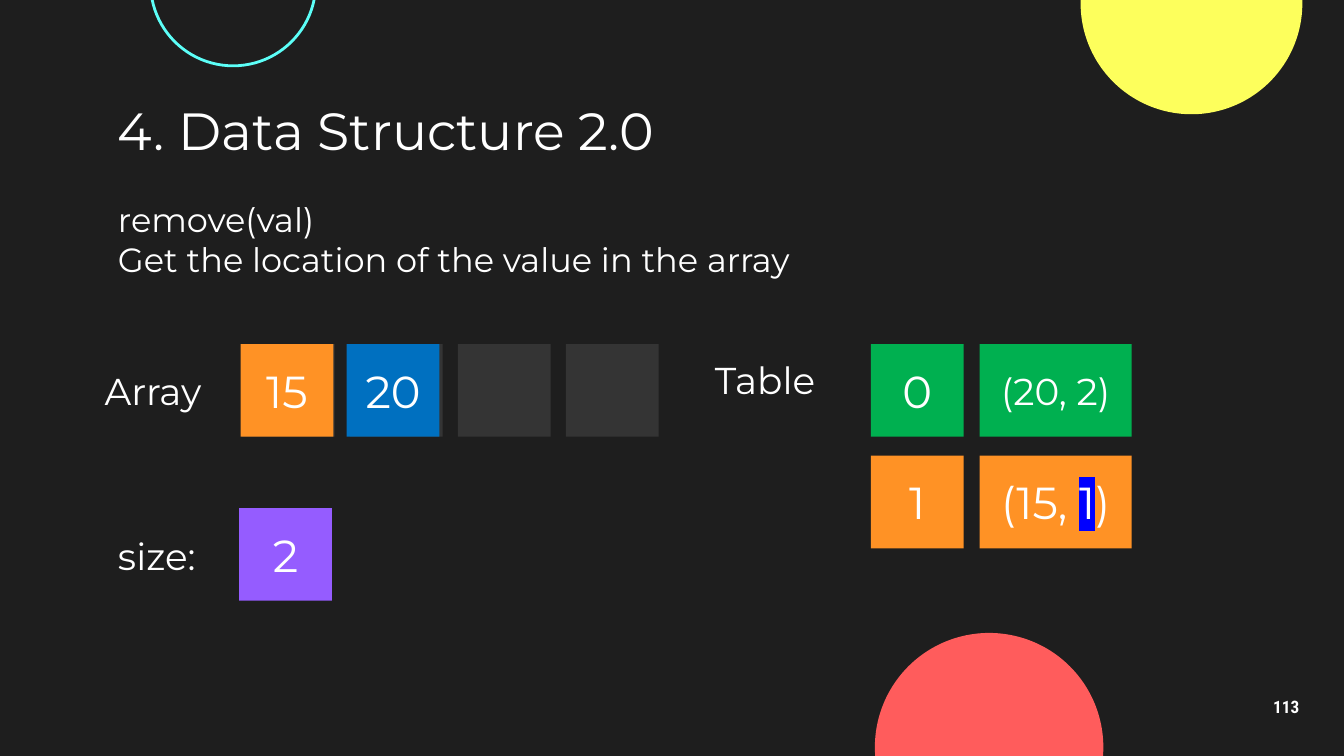
from dataclasses import dataclass

from lxml import etree
from pptx import Presentation
from pptx import util as u
from pptx.dml.color import RGBColor
from pptx.enum import shapes, text
from pptx.oxml import ns


@dataclass(frozen=True)
class Theme:
    background: str = "1E1E1E"
    white: str = "FFFFFF"
    yellow: str = "FDFF5C"
    cyan: str = "5CFFF8"
    red: str = "FF5C5C"
    empty: str = "343434"
    orange: str = "FF9225"
    blue: str = "0070C0"
    purple: str = "955CFF"
    green: str = "00B050"
    highlight: str = "0000FF"
    font: str = "Montserrat"
    number_font: str = "Roboto Condensed"
    title: float = 28
    value: float = 24
    label: float = 20
    body: float = 18
    number: float = 9.2


THEME = Theme()
CELL = 0.69
PAIR_WIDTH = 1.13
SLOT_PITCH = 2.41 / 3


def color(value):
    return RGBColor.from_string(value)


def add_run(paragraph, words, size, font=THEME.font, bold=False, highlight=None):
    run = paragraph.add_run()
    run.text = words
    run.font.size = u.Pt(size)
    run.font.name = font
    run.font.bold = bold
    run.font.color.rgb = color(THEME.white)
    if highlight:
        mark = etree.Element(ns.qn("a:highlight"))
        etree.SubElement(mark, ns.qn("a:srgbClr"), val=highlight)
        run.font._element.find(ns.qn("a:solidFill")).addnext(mark)


def add_text(slide, box, lines, size, anchor=text.MSO_ANCHOR.TOP, align=None, **style):
    frame = slide.shapes.add_textbox(*map(u.Inches, box)).text_frame
    frame.word_wrap = True
    frame.vertical_anchor = anchor
    frame.margin_left = frame.margin_right = u.Inches(0.1)
    frame.margin_top = frame.margin_bottom = u.Inches(0.1)
    for index, line in enumerate(lines):
        paragraph = frame.add_paragraph() if index else frame.paragraphs[0]
        paragraph.alignment = align
        add_run(paragraph, line, size, **style)
    return frame


def add_figure(slide, kind, box, fill=None, line=None):
    shape = slide.shapes.add_shape(kind, *map(u.Inches, box))
    shape.shadow.inherit = False
    if fill:
        shape.fill.solid()
        shape.fill.fore_color.rgb = color(fill)
    else:
        shape.fill.background()
    if line:
        shape.line.color.rgb = color(line)
        shape.line.width = u.Pt(1.5)
    else:
        shape.line.fill.background()
    return shape


def add_cell(slide, left, top, fill, parts=(), width=CELL, size=THEME.value):
    """Draw a square or wider cell; parts are (words, highlight) pairs."""
    shape = add_figure(slide, shapes.MSO_SHAPE.RECTANGLE, (left, top, width, CELL), fill)
    frame = shape.text_frame
    frame.vertical_anchor = text.MSO_ANCHOR.MIDDLE
    paragraph = frame.paragraphs[0]
    paragraph.alignment = text.PP_ALIGN.CENTER
    for words, highlight in parts:
        add_run(paragraph, words, size, highlight=highlight)


def add_decoration(slide):
    for left, top, diameter, fill, line in (
        (8.04, -0.8, 1.65, THEME.yellow, None),
        (1.12, -0.74, 1.23, None, THEME.cyan),
        (6.51, 4.71, 1.7, THEME.red, None),
    ):
        box = (left, top, diameter, diameter)
        add_figure(slide, shapes.MSO_SHAPE.OVAL, box, fill, line)


def add_heading(slide, left, top):
    lines = ["remove(val)", "Get the location of the value in the array"]
    add_text(slide, (left, top + 0.67, 8.14, 0.51), lines, THEME.body)
    add_text(slide, (left, top, 8.44, 0.51), ["4. Data Structure 2.0"],
             THEME.title, text.MSO_ANCHOR.MIDDLE)


def add_array(slide, left, top):
    # Empty slots, then the values lying over the first ones
    first = left + 1.12
    for index in range(4):
        add_cell(slide, first + index * SLOT_PITCH, top, THEME.empty)
    for index, (words, fill) in enumerate((("15", THEME.orange), ("20", THEME.blue))):
        add_cell(slide, first - 0.01 + index * 0.79, top, fill, [(words, None)])
    add_text(slide, (left, top + 0.08, 1.06, 0.51), ["Array"], THEME.label)


def add_size(slide, left, top):
    add_text(slide, (left, top + 0.09, 1.06, 0.51), ["size:"], THEME.label)
    add_cell(slide, left + 1, top, THEME.purple, [("2", None)])


def add_lookup(slide, left, top):
    add_text(slide, (left, top, 1.03, 0.51), ["Table"], THEME.label)
    rows = (
        ("0", [("(20, 2)", None)], THEME.green, THEME.label),
        ("1", [("(15, ", None), ("1", THEME.highlight), (")", None)],
         THEME.orange, THEME.value),
    )
    for index, (key, pair, fill, size) in enumerate(rows):
        row_top = top + index * 0.83
        add_cell(slide, left + 1.26, row_top, fill, [(key, None)])
        add_cell(slide, left + 2.07, row_top, fill, pair, PAIR_WIDTH, size)


def add_number(slide, box):
    frame = add_text(slide, box, ["113"], THEME.number, text.MSO_ANCHOR.MIDDLE,
                     text.PP_ALIGN.CENTER, font=THEME.number_font, bold=True)
    frame.paragraphs[0].line_spacing = 0.9


def main():
    # Widescreen slide, 16:9
    presentation = Presentation()
    presentation.slide_width = u.Inches(10)
    presentation.slide_height = u.Inches(10 * 9 / 16)
    slide = presentation.slides.add_slide(presentation.slide_layouts[6])
    slide.background.fill.solid()
    slide.background.fill.fore_color.rgb = color(THEME.background)

    add_decoration(slide)
    add_number(slide, (9.27, 5.1, 0.6, 0.34))
    add_heading(slide, 0.78, 0.71)
    add_array(slide, 0.68, 2.56)
    add_size(slide, 0.78, 3.78)
    add_lookup(slide, 5.22, 2.56)
    presentation.save("out.pptx")


if __name__ == "__main__":
    main()
